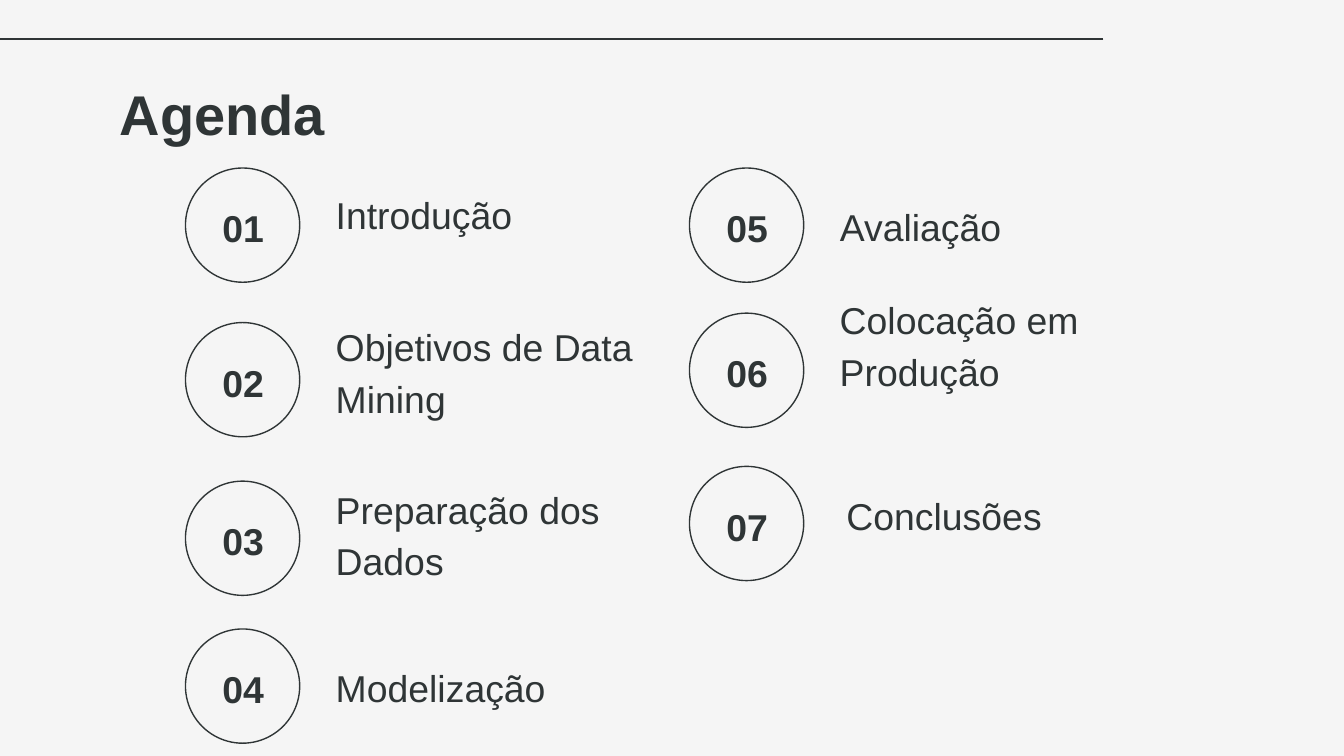
from lxml import etree
from pptx import Presentation
from pptx import util as u
from pptx.dml.color import RGBColor
from pptx.enum import shapes, text
from pptx.oxml import ns

INK = "2F3536"
PAPER = "F5F5F5"
SLIDE_WIDTH = 10
SLIDE_HEIGHT = SLIDE_WIDTH * 9 / 16
CIRCLE = 0.85
COLUMNS = (1.38, 5.13)
LABEL_OFFSET = 1.02
NUMBER_OFFSET = (0.03, 0.22)
NUMBER_SIZE = (0.8, 0.4)

TOPICS = (
    (0, 1.25, "Introdução", 0, 1.46, 2.44, 0.4),
    (0, 2.4, "Objetivos de Data Mining", 0, 2.38, 2.44, 0.85),
    (0, 3.58, "Preparação dos Dados", 0, 3.53, 2.44, 0.91),
    (0, 4.68, "Modelização", 0, 4.98, 2.44, 0.4),
    (1, 1.25, "Avaliação", 0, 1.32, 2.92, 0.63),
    (1, 2.33, "Colocação em Produção", 0, 2.63, 3.13, 0.4),
    (1, 3.47, "Conclusões", 0.05, 3.7, 2.44, 0.4),
)


def color(value):
    """Turn a hex string into a colour."""
    return RGBColor.from_string(value)


def inches(*lengths):
    """Convert several lengths to inches."""
    return [u.Inches(length) for length in lengths]


def write(shape, content, size, bold, align, anchor, spacing):
    """Fill a shape with one formatted paragraph."""
    frame = shape.text_frame
    frame.text = content
    frame.word_wrap = True
    frame.auto_size = text.MSO_AUTO_SIZE.NONE
    frame.vertical_anchor = anchor
    frame.margin_left = frame.margin_right = u.Inches(0.1)
    frame.margin_top = frame.margin_bottom = u.Inches(0.1)
    paragraph = frame.paragraphs[0]
    paragraph.alignment = align
    paragraph.line_spacing = spacing
    font = paragraph.runs[0].font
    font.name, font.size, font.bold = "Arial", u.Pt(size), bold
    font.color.rgb = color(INK)


def add_rule(slide):
    """Draw the thin line along the top."""
    rule = slide.shapes.add_connector(
        shapes.MSO_CONNECTOR.STRAIGHT, *inches(8.21, 0.29, -0.05, 0.29))
    rule.line.color.rgb = color(INK)
    rule.line.width = u.Pt(0.75)
    etree.SubElement(rule._element.spPr, ns.qn("a:effectLst"))


def add_title(slide, content):
    """Place and format the slide title."""
    title = slide.shapes.title
    title.left, title.top, title.width, title.height = inches(0.79, 0.49, 8.43, 0.63)
    write(title, content, 30, True, text.PP_ALIGN.LEFT, text.MSO_ANCHOR.TOP, 1.0)


def add_circle(slide, left, top):
    """Draw an outlined circle."""
    circle = slide.shapes.add_shape(
        shapes.MSO_SHAPE.OVAL, *inches(left, top, CIRCLE, CIRCLE))
    circle.shadow.inherit = False
    circle.fill.background()
    circle.line.color.rgb = color(INK)
    circle.line.width = u.Pt(0.75)


def add_text(slide, box, content, bold, align, anchor):
    """Add a text box in the agenda's text size."""
    shape = slide.shapes.add_textbox(*inches(*box))
    write(shape, content, 20, bold, align, anchor, 1.15)


def add_topic(slide, number, column, top, topic, indent, label_top, width, height):
    """Add a numbered circle with its topic."""
    left = COLUMNS[column]
    add_circle(slide, left, top)
    number_box = (left + NUMBER_OFFSET[0], top + NUMBER_OFFSET[1], *NUMBER_SIZE)
    add_text(slide, number_box, f"{number:02d}", True,
             text.PP_ALIGN.CENTER, text.MSO_ANCHOR.MIDDLE)
    label_box = (left + LABEL_OFFSET + indent, label_top, width, height)
    add_text(slide, label_box, topic, False,
             text.PP_ALIGN.LEFT, text.MSO_ANCHOR.BOTTOM)


def main():
    """Build the agenda slide."""
    presentation = Presentation()
    presentation.slide_width, presentation.slide_height = inches(
        SLIDE_WIDTH, SLIDE_HEIGHT)
    slide = presentation.slides.add_slide(presentation.slide_layouts[5])
    slide.background.fill.solid()
    slide.background.fill.fore_color.rgb = color(PAPER)
    add_rule(slide)
    add_title(slide, "Agenda")
    for number, topic in enumerate(TOPICS, start=1):
        add_topic(slide, number, *topic)
    presentation.save("out.pptx")


if __name__ == "__main__":
    main()
